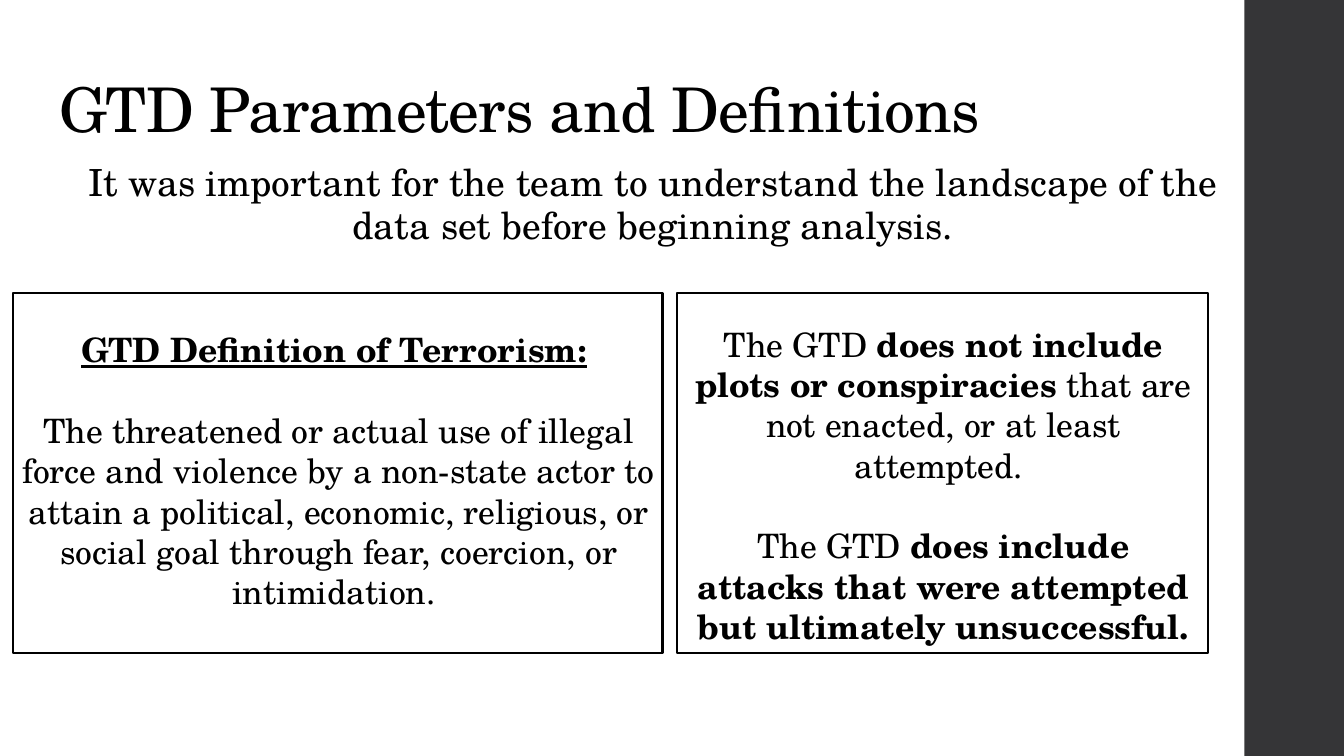
from dataclasses import dataclass

from pptx import Presentation
from pptx import util as u
from pptx.dml import color
from pptx.enum import shapes, text
from pptx.oxml import ns, xmlchemy

FONT = "TeX Gyre Schola"
BLACK = color.RGBColor(0x00, 0x00, 0x00)
DARK = color.RGBColor(0x35, 0x35, 0x37)
WIDE = 10
HIGH = WIDE * 9 / 16


@dataclass
class Box:
    left: float
    top: float
    width: float
    height: float


@dataclass
class Run:
    words: str
    bold: bool = False
    line: bool = False


@dataclass
class Style:
    size: float
    align: text.PP_ALIGN = text.PP_ALIGN.CENTER
    space: float = 1.0
    track: int = 0
    indent: float = 0.0
    gap: float = 0.0


@dataclass
class Panel:
    frame: Box
    area: Box
    style: Style
    paras: list[list[Run]]


def place(shape, box: Box) -> None:
    shape.left, shape.top = u.Inches(box.left), u.Inches(box.top)
    shape.width, shape.height = u.Inches(box.width), u.Inches(box.height)


def write(frame, paras: list[list[Run]], style: Style) -> None:
    frame.word_wrap = True
    for order, runs in enumerate(paras):
        para = frame.add_paragraph() if order else frame.paragraphs[0]
        para.alignment = style.align
        para.line_spacing = style.space
        para.space_before = u.Pt(style.gap if order else 0)
        props = para._p.get_or_add_pPr()
        props.set("marL", str(u.Inches(style.indent)))
        props.set("indent", "0")
        props.append(xmlchemy.OxmlElement("a:buNone"))
        for part in runs:
            run = para.add_run()
            run.text = part.words
            font = run.font
            font.name, font.size = FONT, u.Pt(style.size)
            font.bold, font.underline = part.bold, part.line
            font.color.rgb = BLACK
            if style.track:
                run._r.get_or_add_rPr().set("spc", str(style.track))


def fill(holder, box: Box, words: str, style: Style) -> None:
    place(holder, box)
    frame = holder.text_frame
    frame.auto_size = text.MSO_AUTO_SIZE.NONE
    frame.vertical_anchor = text.MSO_ANCHOR.TOP
    frame.margin_left = frame.margin_right = u.Inches(0.1)
    frame.margin_top = frame.margin_bottom = u.Inches(0.1)
    write(frame, [[Run(words)]], style)


def rect(slide, box: Box):
    shape = slide.shapes.add_shape(
        shapes.MSO_SHAPE.RECTANGLE,
        u.Inches(box.left), u.Inches(box.top),
        u.Inches(box.width), u.Inches(box.height),
    )
    shape.shadow.inherit = False
    return shape


def label(slide, item: Panel) -> None:
    area = item.area
    note = slide.shapes.add_textbox(
        u.Inches(area.left), u.Inches(area.top),
        u.Inches(area.width), u.Inches(area.height),
    )
    write(note.text_frame, item.paras, item.style)


def border(slide, item: Panel) -> None:
    frame = rect(slide, item.frame)
    frame.fill.background()
    frame.line.color.rgb = BLACK
    frame.line.width = u.Pt(1.1)


PANELS = [
    Panel(
        Box(5.04, 2.18, 3.95, 2.68), Box(4.93, 2.36, 4.06, 2.83),
        Style(18, indent=0.12, gap=21.6),
        [
            [
                Run("The GTD "),
                Run("does not include plots or conspiracies ", bold=True),
                Run("that are not enacted, or at least attempted. "),
            ],
            [
                Run("The GTD "),
                Run("does include attacks that were attempted but ultimately unsuccessful.", bold=True),
            ],
        ],
    ),
    Panel(
        Box(0.1, 2.18, 4.83, 2.68), Box(0, 2.4, 5.04, 2.52),
        Style(18, gap=21.6),
        [
            [Run("GTD Definition of Terrorism:", bold=True, line=True), Run(" ")],
            [Run(
                "The threatened or actual use of illegal force and violence by a "
                "non-state actor to attain a political, economic, religious, or "
                "social goal through fear, coercion, or intimidation. "
            )],
        ],
    ),
]


def main() -> None:
    deck = Presentation()
    deck.slide_width, deck.slide_height = u.Inches(WIDE), u.Inches(HIGH)
    slide = deck.slides.add_slide(deck.slide_layouts[1])

    band = rect(slide, Box(9.26, 0, 0.74, HIGH))
    band.fill.solid()
    band.fill.fore_color.rgb = DARK
    band.line.fill.background()
    tree = slide.shapes._spTree
    tree.remove(band._element)
    tree.insert(tree.index(tree.find(ns.qn("p:sp"))), band._element)

    fill(
        slide.shapes.title, Box(0.34, 0.49, 9.32, 0.63),
        "GTD Parameters and Definitions \t",
        Style(33, align=text.PP_ALIGN.LEFT, space=0.9, track=-37),
    )
    fill(
        slide.placeholders[1], Box(0.34, 1.11, 8.92, 1.25),
        "It was important for the team to understand the landscape of the "
        "data set before beginning analysis.",
        Style(20, space=0.95, track=7, indent=0.12),
    )
    for draw in (label, border):
        for item in PANELS if draw is label else reversed(PANELS):
            draw(slide, item)
    deck.save("out.pptx")


main()
